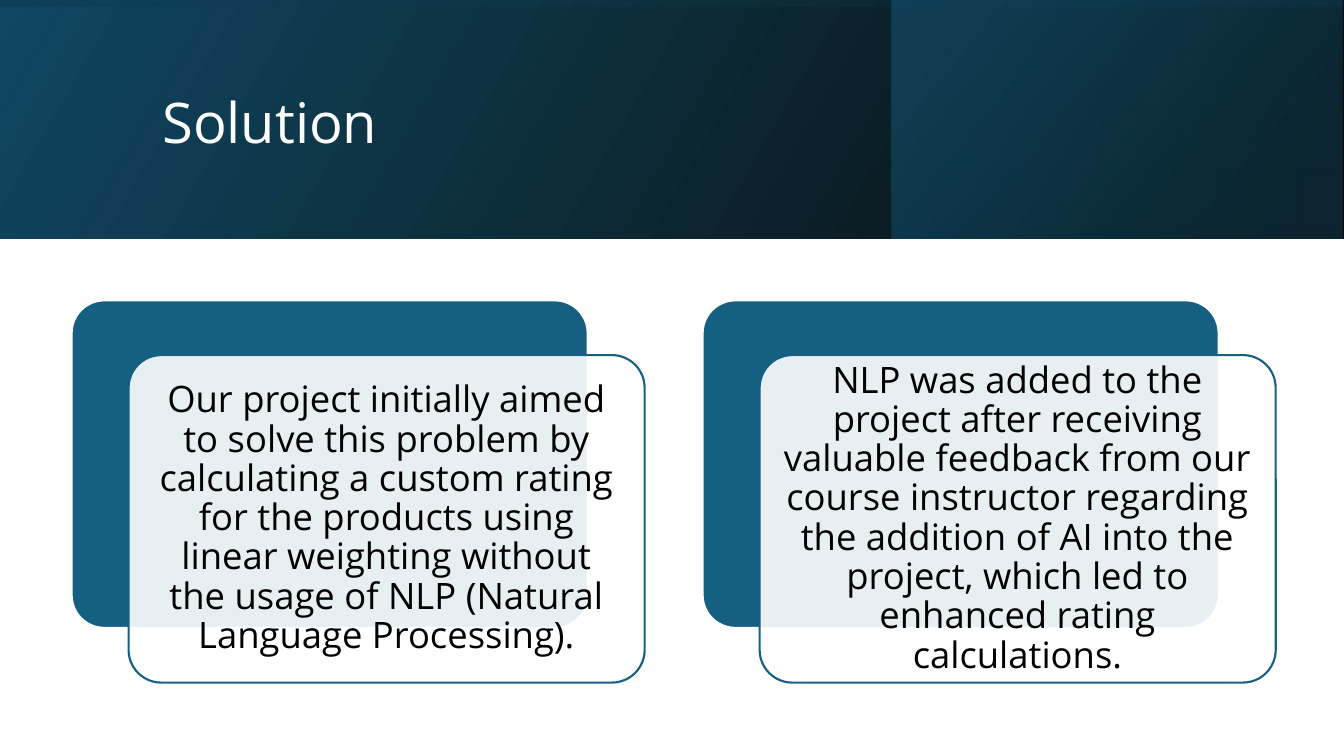
"""Build the Solution slide: a gradient banner with a title above two layered text cards."""
import lxml.etree
import pptx
import pptx.dml.color
import pptx.enum.shapes
import pptx.enum.text
import pptx.oxml
import pptx.oxml.ns
import pptx.util

WHITE = pptx.dml.color.RGBColor(0xFF, 0xFF, 0xFF)
BLACK = pptx.dml.color.RGBColor(0x00, 0x00, 0x00)
TEAL = pptx.dml.color.RGBColor(0x15, 0x60, 0x82)
DEEP_TEAL = pptx.dml.color.RGBColor(0x10, 0x48, 0x62)
NIGHT_TEAL = pptx.dml.color.RGBColor(0x0B, 0x30, 0x41)

BANNER_HEIGHT = 31.6
CARD_LEFT, CARD_TOP = 5.33, 39.73
CARD_WIDTH, CARD_HEIGHT = 38.4, 43.33
CARD_STEP = 46.95
FRONT_SHIFT_X, FRONT_SHIFT_Y = 4.24, 7.24
TEXT_INSET_X, TEXT_INSET_Y = 0.72, 1.27

CARD_TEXTS = (
    "Our project initially aimed to solve this problem by calculating a custom rating "
    "for the products using linear weighting without the usage of NLP (Natural Language "
    "Processing).",
    "NLP was added to the project after receiving valuable feedback from our course "
    "instructor regarding the addition of AI into the project, which led to enhanced "
    "rating calculations.",
)


class SlideBuilder:
    """Hold the style and current slide; place elements in percent of the slide size."""

    font_name = "Open Sans"
    line_spacing = 0.9

    def __init__(self, presentation):
        self.presentation = presentation
        self.slide = presentation.slides.add_slide(presentation.slide_layouts[5])

    def box(self, left, top, width, height):
        slide_width = self.presentation.slide_width
        slide_height = self.presentation.slide_height
        return (
            round(left * slide_width / 100),
            round(top * slide_height / 100),
            round(width * slide_width / 100),
            round(height * slide_height / 100),
        )

    def style_text(self, frame, text, size, color, alignment):
        frame.word_wrap = True
        frame.auto_size = pptx.enum.text.MSO_AUTO_SIZE.NONE
        frame.vertical_anchor = pptx.enum.text.MSO_ANCHOR.MIDDLE
        paragraph = frame.paragraphs[0]
        paragraph.text = text
        paragraph.alignment = alignment
        paragraph.line_spacing = self.line_spacing
        paragraph.font.name = self.font_name
        paragraph.font.size = pptx.util.Pt(size)
        paragraph.font.color.rgb = color

    def gradient(self, box, stops, angle, rotation=0):
        shape = self.slide.shapes.add_shape(
            pptx.enum.shapes.MSO_SHAPE.RECTANGLE, *self.box(*box)
        )
        shape.shadow.inherit = False
        shape.line.fill.background()
        shape.rotation = rotation
        properties = shape._element.spPr
        properties.xfrm.set("flipH", "1")
        stop_xml = "".join(
            f'<a:gs pos="{position * 1000}"><a:srgbClr val="{color}">'
            f'<a:alpha val="{opacity * 1000}"/></a:srgbClr></a:gs>'
            for position, color, opacity in stops
        )
        fill = pptx.oxml.parse_xml(
            f'<a:gradFill {pptx.oxml.ns.nsdecls("a")} rotWithShape="1">'
            f"<a:gsLst>{stop_xml}</a:gsLst>"
            f'<a:lin ang="{angle * 60000}" scaled="0"/></a:gradFill>'
        )
        properties.find(pptx.oxml.ns.qn("a:prstGeom")).addnext(fill)

    def title(self, text, box):
        title = self.slide.shapes.title
        title.left, title.top, title.width, title.height = self.box(*box)
        self.style_text(title.text_frame, text, 40, WHITE, pptx.enum.text.PP_ALIGN.LEFT)
        self.slide.shapes._spTree.append(title._element)

    def panel(self, group, box, fill_color, line_color, opacity=100):
        shape = group.shapes.add_shape(
            pptx.enum.shapes.MSO_SHAPE.ROUNDED_RECTANGLE, *self.box(*box)
        )
        shape.shadow.inherit = False
        shape.adjustments[0] = 0.1
        shape.fill.solid()
        shape.fill.fore_color.rgb = fill_color
        shape.line.color.rgb = line_color
        shape.line.width = pptx.util.Pt(1.5)
        if opacity < 100:
            color = shape._element.spPr.find(
                f'{pptx.oxml.ns.qn("a:solidFill")}/{pptx.oxml.ns.qn("a:srgbClr")}'
            )
            alpha = lxml.etree.SubElement(color, pptx.oxml.ns.qn("a:alpha"))
            alpha.set("val", str(opacity * 1000))

    def card(self, group, left, text):
        self.panel(group, (left, CARD_TOP, CARD_WIDTH, CARD_HEIGHT), TEAL, WHITE)
        front_left = left + FRONT_SHIFT_X
        front_top = CARD_TOP + FRONT_SHIFT_Y
        self.panel(
            group, (front_left, front_top, CARD_WIDTH, CARD_HEIGHT), WHITE, TEAL, 90
        )
        text_box = group.shapes.add_textbox(*self.box(
            front_left + TEXT_INSET_X,
            front_top + TEXT_INSET_Y,
            CARD_WIDTH - 2 * TEXT_INSET_X,
            CARD_HEIGHT - 2 * TEXT_INSET_Y,
        ))
        frame = text_box.text_frame
        frame.margin_left = frame.margin_right = pptx.util.Inches(0.11)
        frame.margin_top = frame.margin_bottom = pptx.util.Inches(0.11)
        self.style_text(frame, text, 26, BLACK, pptx.enum.text.PP_ALIGN.CENTER)


def main():
    presentation = pptx.Presentation()
    presentation.slide_width = pptx.util.Inches(13.33)
    presentation.slide_height = pptx.util.Inches(7.5)
    builder = SlideBuilder(presentation)

    builder.gradient(
        (0, 0, 100, BANNER_HEIGHT), ((0, BLACK, 96), (100, DEEP_TEAL, 100)), 330
    )
    builder.gradient(
        (66.32, 0, 33.6, BANNER_HEIGHT), ((19, NIGHT_TEAL, 68), (100, TEAL, 48)), 320
    )
    builder.gradient(
        (41.11, -73.07, 17.78, 177.73),
        ((23, DEEP_TEAL, 16), (99, BLACK, 45)),
        350,
        rotation=270,
    )
    builder.title("Solution", (11.33, 5.07, 79.74, 22.93))

    group = builder.slide.shapes.add_group_shape()
    for index, text in enumerate(CARD_TEXTS):
        builder.card(group, CARD_LEFT + index * CARD_STEP, text)

    presentation.save("out.pptx")


if __name__ == "__main__":
    main()
